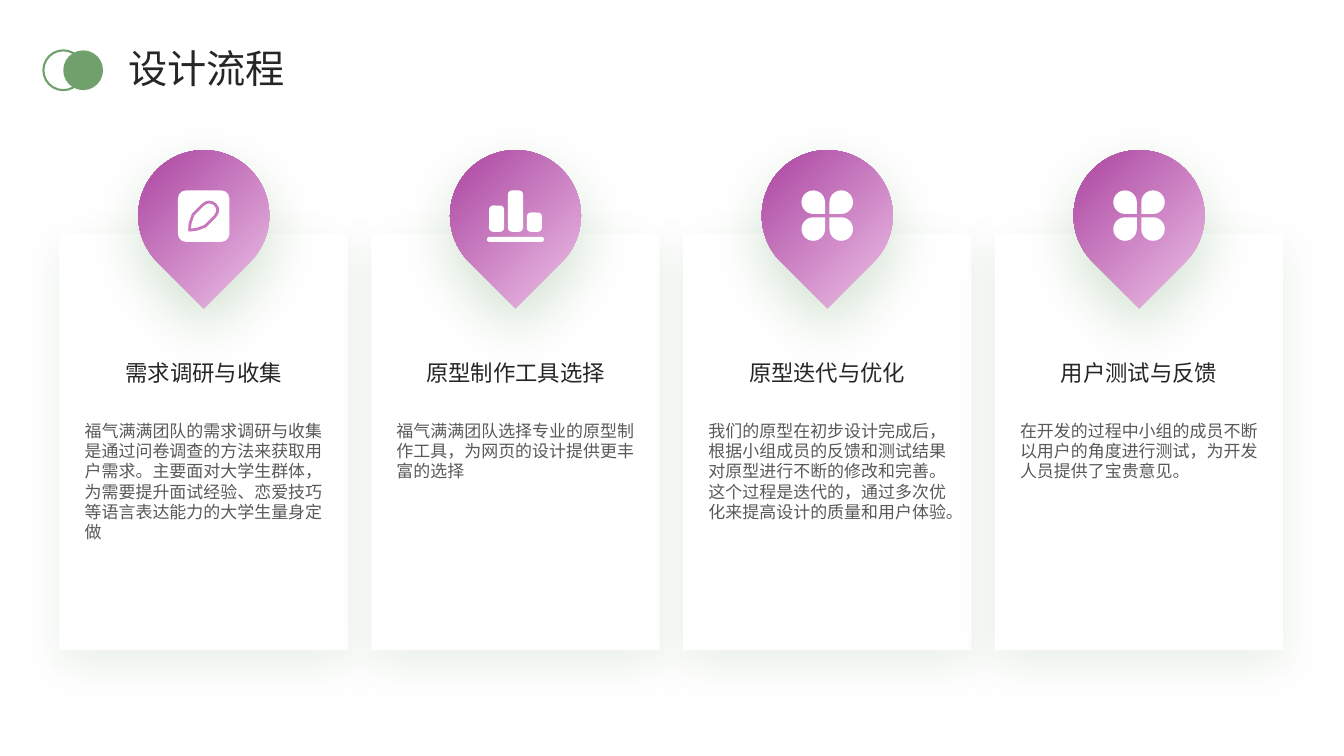
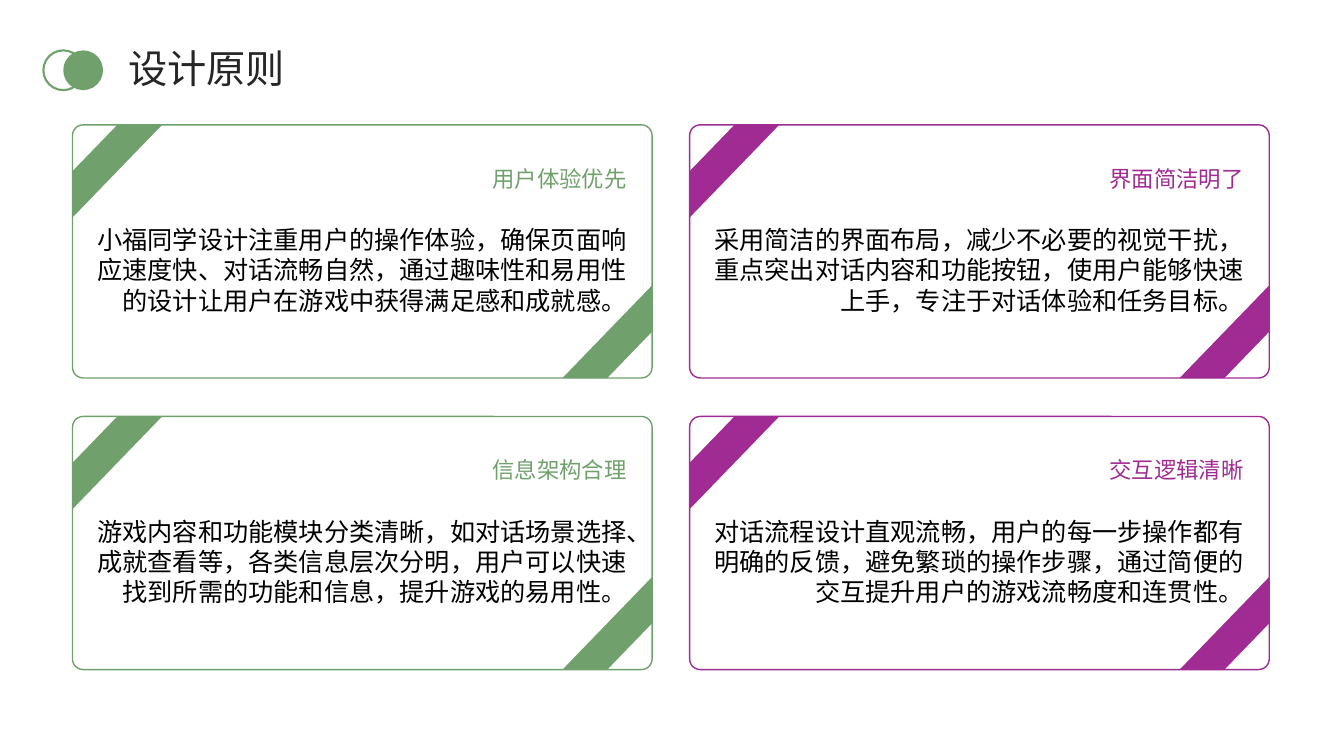
from lxml import etree
from pptx import Presentation
from pptx.dml.color import RGBColor
from pptx.enum.shapes import MSO_SHAPE as SHAPE
from pptx.enum.text import MSO_ANCHOR as ANCHOR, MSO_AUTO_SIZE as AUTO, PP_ALIGN as ALIGN
from pptx.oxml.ns import qn
from pptx.util import Pt

FONT = "Noto Sans CJK SC"
GREEN, PURPLE, PINK, CUTOUT = "70A16C", "A02B93", "F2CFEE", "C778BC"
WHITE, BLACK, DARK, GRAY = "FFFFFF", "000000", "262626", "595959"

# Content: heading, body, icon, body alignment
STEPS = [
    ("需求调研与收集",
     "福气满满团队的需求调研与收集是通过问卷调查的方法来获取用户需求。"
     "主要面对大学生群体，为需要提升面试经验、恋爱技巧等语言表达能力的大学生量身定做",
     "pencil", ALIGN.LEFT),
    ("原型制作工具选择",
     "福气满满团队选择专业的原型制作工具，为网页的设计提供更丰富的选择",
     "bars", ALIGN.LEFT),
    ("原型迭代与优化",
     "我们的原型在初步设计完成后，根据小组成员的反馈和测试结果对原型进行不断的修改和完善。"
     "这个过程是迭代的，通过多次优化来提高设计的质量和用户体验。",
     "petals", ALIGN.CENTER),
    ("用户测试与反馈",
     "在开发的过程中小组的成员不断以用户的角度进行测试，为开发人员提供了宝贵意见。",
     "petals", ALIGN.LEFT),
]
PRINCIPLES = [
    ("用户体验优先",
     "小福同学设计注重用户的操作体验，确保页面响应速度快、对话流畅自然，"
     "通过趣味性和易用性的设计让用户在游戏中获得满足感和成就感。"),
    ("界面简洁明了",
     "采用简洁的界面布局，减少不必要的视觉干扰，重点突出对话内容和功能按钮，"
     "使用户能够快速上手，专注于对话体验和任务目标。"),
    ("信息架构合理",
     "游戏内容和功能模块分类清晰，如对话场景选择、成就查看等，各类信息层次分明，"
     "用户可以快速找到所需的功能和信息，提升游戏的易用性。"),
    ("交互逻辑清晰",
     "对话流程设计直观流畅，用户的每一步操作都有明确的反馈，避免繁琐的操作步骤，"
     "通过简便的交互提升用户的游戏流畅度和连贯性。"),
]
# Pencil outline in tenths of a point, from the icon's top left corner
PENCIL = [(83, 284), (86, 238), (108, 173), (180, 101), (202, 87), (223, 83), (245, 87),
          (266, 101), (281, 122), (284, 137), (281, 158), (266, 184), (194, 256), (137, 277)]


def rgb(color):
    return RGBColor.from_string(color)


def write(sp, text, size, color, align=ALIGN.LEFT, anchor=ANCHOR.TOP):
    tf = sp.text_frame
    tf.word_wrap, tf.auto_size, tf.vertical_anchor = True, AUTO.NONE, anchor
    tf.margin_left = tf.margin_top = tf.margin_right = tf.margin_bottom = 0
    p = tf.paragraphs[0]
    p.alignment = align
    r = p.add_run()
    r.text = text
    r.font.size, r.font.name = Pt(size), FONT
    r.font.color.rgb = rgb(color)
    props = r.font._element
    props.set("lang", "zh-CN")
    etree.SubElement(props, qn("a:ea"), typeface=FONT)


def add_text(s, x, y, w, h, text, size, color, **fmt):
    write(s.shapes.add_textbox(Pt(x), Pt(y), Pt(w), Pt(h)), text, size, color, **fmt)


def paint(sp, fill=None, line=None, width=1):
    sp.shadow.inherit = False
    if fill:
        sp.fill.solid()
        sp.fill.fore_color.rgb = rgb(fill)
    else:
        sp.fill.background()
    if line:
        sp.line.color.rgb = rgb(line)
        sp.line.width = Pt(width)
    else:
        sp.line.fill.background()


def add_shape(s, kind, x, y, w, h, fill=None, line=None, width=1, rot=0, adj=None):
    sp = s.shapes.add_shape(kind, Pt(x), Pt(y), Pt(w), Pt(h))
    paint(sp, fill, line, width)
    sp.rotation = rot
    if adj is not None:
        sp.adjustments[0] = adj
    return sp


def cast_shadow(sp, alpha, blur, dist):
    effects = sp._element.spPr.find(qn("a:effectLst"))
    shadow = etree.SubElement(effects, qn("a:outerShdw"), blurRad=str(Pt(blur)),
                              dist=str(Pt(dist)), dir="5400000", algn="t", rotWithShape="0")
    clr = etree.SubElement(shadow, qn("a:srgbClr"), val=GREEN)
    etree.SubElement(clr, qn("a:alpha"), val=str(alpha * 1000))


def add_slide(prs, title):
    """Title-only slide with the shared title and overlapping circles."""
    s = prs.slides.add_slide(prs.slide_layouts[5])
    sp = s.shapes.title
    sp.left, sp.top, sp.width, sp.height = Pt(91.5), Pt(31.7), Pt(786), Pt(34)
    write(sp, title, 28, DARK, anchor=ANCHOR.MIDDLE)
    add_shape(s, SHAPE.OVAL, 31, 36, 28.4, 28.4, line=GREEN, width=1.5)
    add_shape(s, SHAPE.OVAL, 45.2, 36, 28.4, 28.4, fill=GREEN)
    return s


# Icons: cx is the centre, y the top
def pencil(s, cx, y):
    x = cx - 18.4
    add_shape(s, SHAPE.ROUNDED_RECTANGLE, x, y, 36.8, 36.8, fill=WHITE, adj=0.16)
    outline = s.shapes.build_freeform(*PENCIL[0], scale=Pt(0.1))
    outline.add_line_segments(PENCIL[1:], close=True)
    paint(outline.convert_to_shape(Pt(x), Pt(y)), line=CUTOUT, width=2)


def bars(s, cx, y):
    add_shape(s, SHAPE.ROUNDED_RECTANGLE, cx - 20.4, y + 33.2, 40.8, 3.6, fill=WHITE, adj=0.5)
    for i, top in enumerate((10.8, 0, 15.8)):
        add_shape(s, SHAPE.ROUNDED_RECTANGLE, cx - 18.9 + i * 13.5, y + top,
                  10.8, 29.6 - top, fill=WHITE, adj=0.27)


def petals(s, cx, y):
    for col, row, rot in ((0, 0, 90), (1, 0, 180), (1, 1, 270), (0, 1, 0)):
        add_shape(s, SHAPE.TEAR, cx - 18.4 + col * 20, y + row * 19.2,
                  16.8, 16.8, fill=WHITE, rot=rot)


ICONS = {"pencil": pencil, "bars": bars, "petals": petals}


def build_process(prs):
    s = add_slide(prs, "设计流程")
    card_w, pitch, pad, pin = 206, 222.7, 18, 93.6
    text_w = card_w - 2 * pad
    for i, (heading, body, icon, align) in enumerate(STEPS):
        x = 42.5 + i * pitch
        cx = x + card_w / 2
        card = add_shape(s, SHAPE.RECTANGLE, x, 167, card_w, 297.4, fill=WHITE)
        cast_shadow(card, 15, 30, 10)
        # Gradient map pin
        sp = add_shape(s, SHAPE.TEAR, cx - pin / 2, 107.2, pin, pin, rot=135)
        sp.fill.gradient()
        sp.fill.gradient_angle = 270
        for stop, color in zip(sp.fill.gradient_stops, (PINK, PURPLE)):
            stop.color.rgb = rgb(color)
        cast_shadow(sp, 30, 40, 15)
        add_text(s, x + pad, 234.7, text_w, 62.6, heading, 16, DARK,
                 align=ALIGN.CENTER, anchor=ANCHOR.MIDDLE)
        add_text(s, x + pad, 300.2, text_w, 142, body, 12.1, GRAY, align=align)
        ICONS[icon](s, cx, 136)


def build_principles(prs):
    s = add_slide(prs, "设计原则")
    w, h, stripe_w, stripe_h = 414, 180.8, 64, 66.2
    for i, (heading, body) in enumerate(PRINCIPLES):
        row, col = divmod(i, 2)
        x, y = 51.8 + col * 440.8, 89.2 + row * 208.3
        color = (GREEN, PURPLE)[col]
        add_shape(s, SHAPE.ROUNDED_RECTANGLE, x, y, w, h, fill=WHITE, line=color, adj=0.042)
        # Corner stripes
        add_shape(s, SHAPE.DIAGONAL_STRIPE, x, y, stripe_w, stripe_h, fill=color)
        add_shape(s, SHAPE.DIAGONAL_STRIPE, x + w - stripe_w, y + h - stripe_h,
                  stripe_w, stripe_h, fill=color, rot=180)
        add_text(s, x + 13.3, y + 71.2, 382.4, 80, body, 18, BLACK, align=ALIGN.RIGHT)
        add_text(s, x + 53.7, y + 5.4, 342, 65.6, heading, 16, color,
                 align=ALIGN.RIGHT, anchor=ANCHOR.MIDDLE)


def main():
    prs = Presentation()
    prs.slide_width, prs.slide_height = Pt(960), Pt(540)
    build_process(prs)
    build_principles(prs)
    prs.save("out.pptx")


if __name__ == "__main__":
    main()
